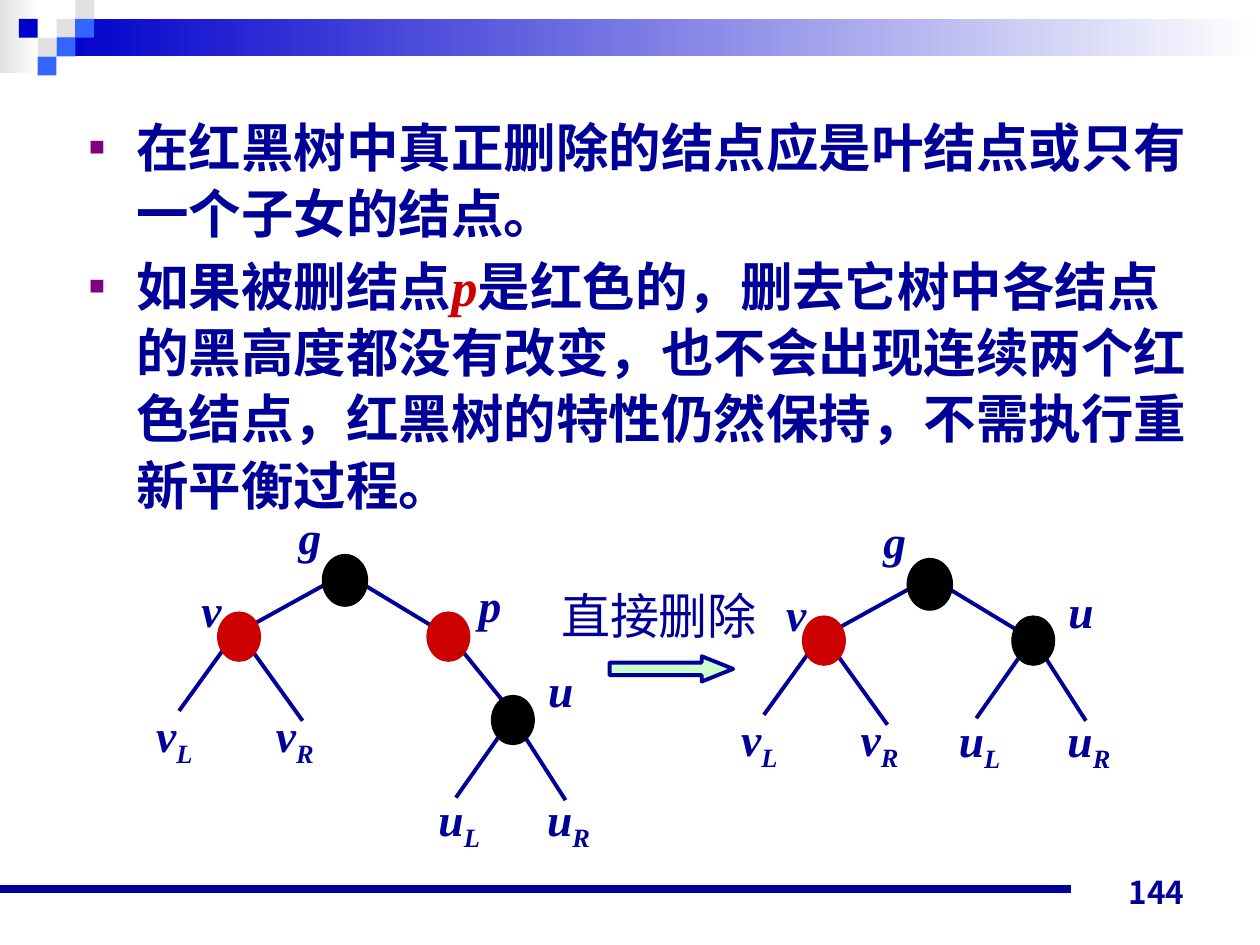
from dataclasses import dataclass

import lxml.etree
import pptx
import pptx.dml.color
import pptx.enum.shapes
import pptx.enum.text
import pptx.oxml.ns
import pptx.util

Cm = pptx.util.Cm
RGBColor = pptx.dml.color.RGBColor
Shape = pptx.enum.shapes.MSO_SHAPE
Align = pptx.enum.text.PP_ALIGN
Anchor = pptx.enum.text.MSO_ANCHOR

NAVY = RGBColor(0x00, 0x00, 0x99)
BLUE = RGBColor(0x00, 0x00, 0xCC)
SKY = RGBColor(0x33, 0x66, 0xFF)
GREY = RGBColor(0xE1, 0xE1, 0xE1)
WHITE = RGBColor(0xFF, 0xFF, 0xFF)
BLACK = RGBColor(0x00, 0x00, 0x00)
RED = RGBColor(0xCC, 0x00, 0x00)
MINT = RGBColor(0xCC, 0xFF, 0xCC)
PURPLE = RGBColor(0x80, 0x00, 0x80)
SERIF = "Times New Roman"
CHINESE = "Noto Sans CJK SC"
SQUARE = 0.38


@dataclass(frozen=True)
class Edge:
    x1: float
    y1: float
    x2: float
    y2: float


@dataclass(frozen=True)
class Node:
    x: float
    y: float
    color: RGBColor
    width: float = 0.86
    height: float = 0.99


@dataclass(frozen=True)
class Label:
    x: float
    y: float
    names: tuple[str, ...]
    width: float = 2.06


@dataclass(frozen=True)
class Tree:
    edges: tuple[Edge, ...]
    nodes: tuple[Node, ...]
    labels: tuple[Label, ...]


UPPER_TREE = Tree(
    edges=(
        Edge(7.34, 11.79, 8.71, 12.62),
        Edge(6.65, 11.73, 4.95, 12.67),
        Edge(4.57, 13, 3.61, 14.33),
        Edge(5, 13, 6.1, 14.53),
    ),
    nodes=(Node(6.5, 11.18, BLACK, 0.91, 1.04), Node(4.39, 12.34, RED)),
    labels=(
        Label(5.77, 10.13, ("g",)),
        Label(3.81, 11.61, ("v",), 1.19),
        Label(2.9, 14.12, ("vL",)),
        Label(5.31, 14.12, ("vR",), 2.29),
    ),
)
DELETED_NODE = Tree(
    edges=(Edge(9.22, 13, 10.21, 14.22),),
    nodes=(Node(8.61, 12.34, RED),),
    labels=(Label(9.4, 11.51, ("p",)),),
)
CHILD_TREE = Tree(
    edges=(Edge(10.21, 14.63, 9.19, 16.08), Edge(10.31, 14.43, 11.4, 16.13)),
    nodes=(Node(9.91, 14.02, BLACK),),
    labels=(
        Label(10.8, 13.23, ("u",), 2.29),
        Label(8.59, 15.82, ("uL", "uR"), 4.83),
    ),
)


def add_element(parent, tag: str, **attributes: str):
    return lxml.etree.SubElement(parent, pptx.oxml.ns.qn(tag), attributes)


def add_span(para, text: str, *, size: float, font: str = SERIF,
             color: RGBColor = NAVY, bold: bool = True,
             italic: bool = False, subscript: bool = False) -> None:
    span = para.add_run()
    span.text = text
    span.font.size = pptx.util.Pt(size)
    span.font.name = font
    span.font.bold = bold
    span.font.italic = italic
    span.font.color.rgb = color
    properties = span._r.get_or_add_rPr()
    add_element(properties, "a:ea", typeface=CHINESE)
    if subscript:
        properties.set("baseline", "-25000")


def add_box(page, x: float, y: float, width: float, height: float,
            align=Align.LEFT, wrap: bool = True):
    box = page.shapes.add_textbox(Cm(x), Cm(y), Cm(width), Cm(height))
    box.text_frame.word_wrap = wrap
    box.text_frame.paragraphs[0].alignment = align
    return box.text_frame


def add_filled(page, kind, x: float, y: float, width: float, height: float,
               fill: RGBColor, line: RGBColor | None = None,
               weight: float = 0.75, fade: bool = False):
    shape = page.shapes.add_shape(kind, Cm(x), Cm(y), Cm(width), Cm(height))
    shape.shadow.inherit = False
    if fade:
        shape.fill.gradient()
        shape.fill.gradient_angle = 0
        for stop, color in zip(shape.fill.gradient_stops, (fill, WHITE)):
            stop.color.rgb = color
    else:
        shape.fill.solid()
        shape.fill.fore_color.rgb = fill
    if line is None:
        shape.line.fill.background()
    else:
        shape.line.color.rgb = line
        shape.line.width = pptx.util.Pt(weight)
    return shape


def add_edge(page, edge: Edge, dx: float = 0, dy: float = 0,
             weight: float = 2.25) -> None:
    connector = page.shapes.add_connector(
        pptx.enum.shapes.MSO_CONNECTOR.STRAIGHT,
        Cm(edge.x1 + dx), Cm(edge.y1 + dy), Cm(edge.x2 + dx), Cm(edge.y2 + dy))
    connector.line.color.rgb = NAVY
    connector.line.width = pptx.util.Pt(weight)
    add_element(connector._element.spPr, "a:effectLst")


def add_label(page, label: Label, dx: float, dy: float) -> None:
    frame = add_box(page, label.x + dx, label.y + dy, label.width, 1.5, Align.JUSTIFY)
    para = frame.paragraphs[0]
    if len(label.names) > 1:
        tabs = add_element(para._p.get_or_add_pPr(), "a:tabLst")
        add_element(tabs, "a:tab", pos=str(Cm(2.19)), algn="l")
    for index, name in enumerate(label.names):
        add_span(para, ("\t" if index else "") + name[0], size=26, italic=True)
        if name[1:]:
            add_span(para, name[1:], size=26, italic=True, subscript=True)


def add_tree(page, tree: Tree, dx: float = 0, dy: float = 0) -> None:
    for edge in tree.edges:
        add_edge(page, edge, dx, dy)
    for node in tree.nodes:
        add_filled(page, Shape.OVAL, node.x + dx, node.y + dy,
                   node.width, node.height, node.color, node.color)
    for label in tree.labels:
        add_label(page, label, dx, dy)


def add_bullet(para) -> None:
    para.line_spacing = 1.05
    properties = para._p.get_or_add_pPr()
    properties.set("marL", str(Cm(0.95)))
    properties.set("indent", str(Cm(-0.95)))
    color = add_element(properties, "a:buClr")
    add_element(color, "a:srgbClr", val=str(PURPLE))
    add_element(properties, "a:buSzPct", val="50000")
    add_element(properties, "a:buFont", typeface="Arial")
    add_element(properties, "a:buChar", char="■")


def add_header(page) -> None:
    add_filled(page, Shape.RECTANGLE, 0, 0, 0.79, 1.47, GREY, fade=True)
    add_filled(page, Shape.RECTANGLE, 3 * SQUARE, SQUARE, 24.26, 2 * SQUARE,
               BLUE, fade=True)
    for column, row, color in ((3, 1, GREY), (4, 0, GREY), (4, 1, SKY), (2, 2, GREY),
                               (1, 1, BLUE), (3, 2, SKY), (2, 3, SKY)):
        add_filled(page, Shape.RECTANGLE, column * SQUARE, row * SQUARE,
                   SQUARE, SQUARE, color)


def add_body(page) -> None:
    frame = add_box(page, 1.55, 2.13, 22.66, 8.69)
    first = frame.paragraphs[0]
    add_bullet(first)
    add_span(first, "在红黑树中真正删除的结点应是叶结点或只有一个子女的结点。",
             size=30, font=CHINESE)
    second = frame.add_paragraph()
    second.space_before = pptx.util.Pt(4)
    add_bullet(second)
    add_span(second, "如果被删结点", size=30)
    add_span(second, "p", size=30, color=RED, italic=True)
    add_span(second, "是红色的，删去它树中各结点的黑高度都没有改变，也不会出现连续两个"
             "红色结点，红黑树的特性仍然保持，不需执行重新平衡过程。", size=30)


def main() -> None:
    deck = pptx.Presentation()
    deck.slide_width, deck.slide_height = Cm(25.4), Cm(19.05)
    page = deck.slides.add_slide(deck.slide_layouts[6])
    add_header(page)
    add_edge(page, Edge(0, 17.93, 21.59, 17.93), weight=4.5)
    number = add_box(page, 18.21, 17.22, 5.92, 1.27, Align.RIGHT)
    number.vertical_anchor = Anchor.BOTTOM
    add_span(number.paragraphs[0], "144", size=18, font="Noto Sans CJK JP")
    add_body(page)
    for tree in (UPPER_TREE, DELETED_NODE, CHILD_TREE):
        add_tree(page, tree)
    add_tree(page, UPPER_TREE, 11.79, 0.08)
    add_tree(page, CHILD_TREE, 10.49, -1.6)
    arrow = add_filled(page, Shape.RIGHT_ARROW, 12.29, 13.23, 2.49, 0.51,
                       MINT, NAVY, 2.25)
    arrow.adjustments[1] = 1.24
    caption = add_box(page, 11.05, 11.68, 4.47, 1.45, Align.CENTER, wrap=False)
    add_span(caption.paragraphs[0], "直接删除", size=28, font="Arial", bold=False)
    deck.save("out.pptx")


if __name__ == "__main__":
    main()
